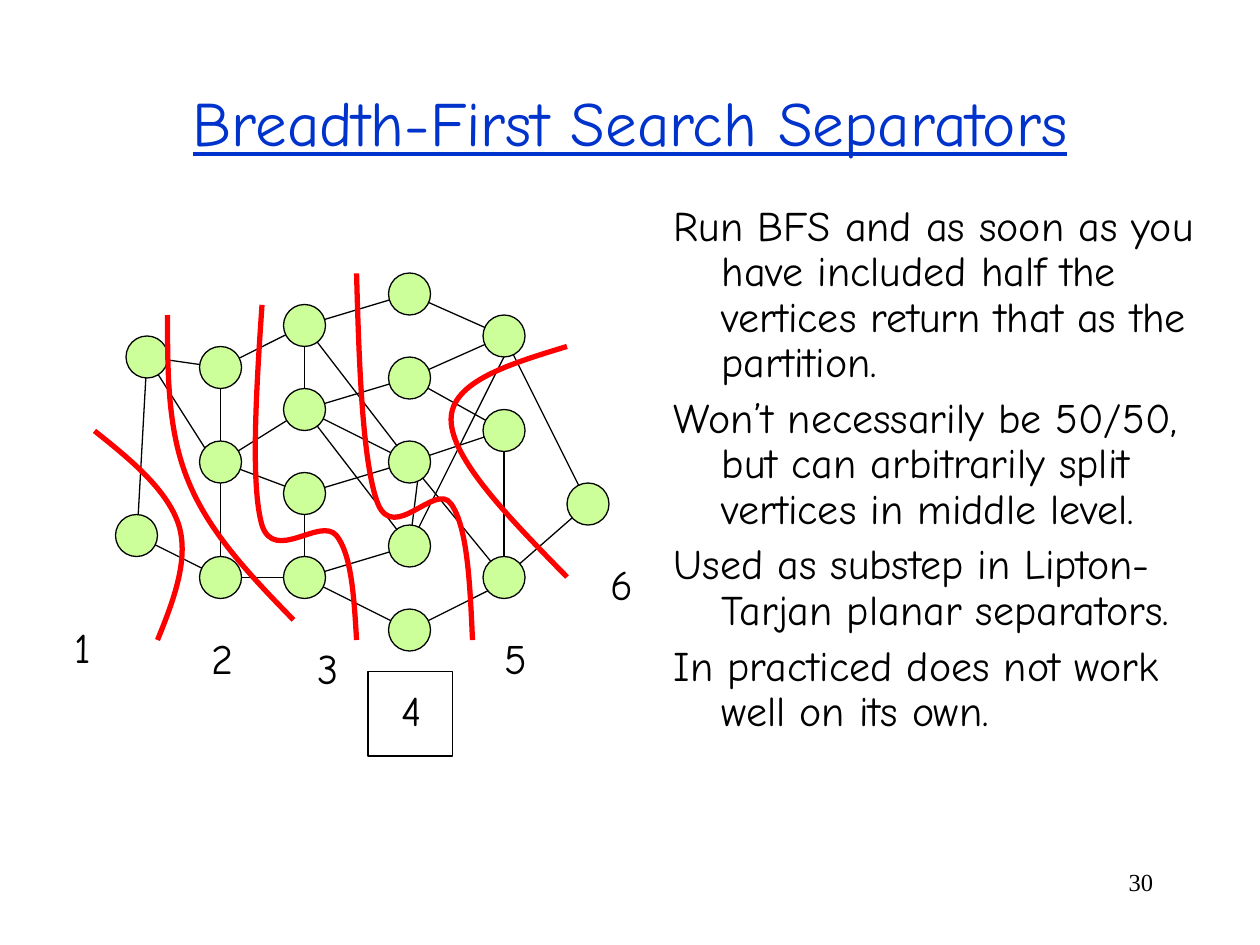
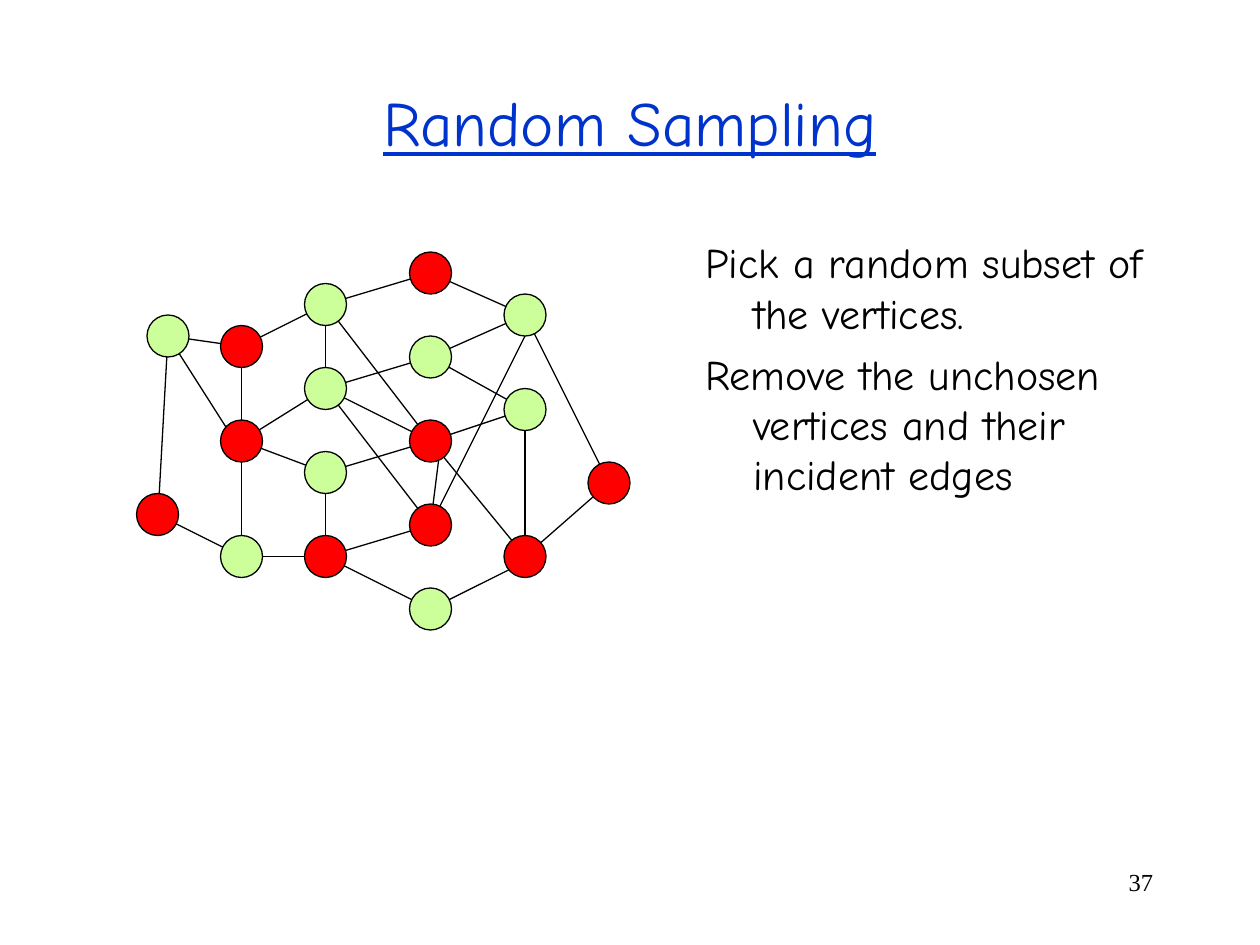
from dataclasses import dataclass
from typing import NamedTuple

from lxml.etree import SubElement
from pptx import Presentation
from pptx.dml.color import RGBColor
from pptx.enum.shapes import MSO_CONNECTOR, MSO_SHAPE
from pptx.enum.text import MSO_ANCHOR, MSO_AUTO_SIZE, PP_ALIGN
from pptx.oxml.ns import qn
from pptx.util import Inches, Length, Pt

# Shared style
BLACK = RGBColor(0x00, 0x00, 0x00)
TITLE_BLUE = RGBColor(0x00, 0x33, 0xCC)
VERTEX_GREEN = RGBColor(0xCC, 0xFF, 0x99)
RED = RGBColor(0xFF, 0x00, 0x00)
MAIN_FONT = "Comic Neue"
NUMBER_FONT = "Times New Roman"
THIN = Pt(0.75)
THICK = Pt(3)
HANGING = Inches(0.38)


class Point(NamedTuple):
    x: float
    y: float


class Box(NamedTuple):
    left: float
    top: float
    width: float
    height: float

    def lengths(self) -> list[Length]:
        return [Inches(value) for value in self]


class Edge(NamedTuple):
    start: str
    end: str
    start_nudge: Point = Point(0, 0)
    end_nudge: Point = Point(0, 0)


class Label(NamedTuple):
    text: str
    left: float
    top: float


@dataclass(frozen=True)
class TextStyle:
    size: int
    font: str = MAIN_FONT
    color: RGBColor = BLACK
    underline: bool = False


TITLE_STYLE = TextStyle(36, color=TITLE_BLUE, underline=True)
BODY_STYLE = TextStyle(24)
NUMBER_STYLE = TextStyle(14, NUMBER_FONT)

# The graph lies on a grid of twelfths of an inch: column x, then each row y
GRID = 12
VERTEX_SIZE = Inches(4 / GRID)
COLUMNS = {
    "B": (21, (35, 44, 55)),
    "C": (29, (31, 39, 47, 55)),
    "D": (39, (28, 36, 44, 52, 60)),
    "E": (48, (32, 41, 55)),
    "F": (56, (48,)),
}
VERTICES = {"A1": Point(14, 34), "A2": Point(13, 51)} | {
    f"{column}{number}": Point(x, y)
    for column, (x, rows) in COLUMNS.items()
    for number, y in enumerate(rows, start=1)
}
RIGHT = Point(1, 0)
DOWN = Point(0, 1)
EDGES = [
    Edge("B3", "C4"), Edge("C3", "B2"), Edge("B3", "A2"), Edge("B3", "B2"),
    Edge("C3", "C4"), Edge("B2", "C2"), Edge("C2", "C1"), Edge("C1", "B1"),
    Edge("B1", "B2", end_nudge=DOWN), Edge("B2", "A1", start_nudge=DOWN),
    Edge("A1", "A2", end_nudge=DOWN), Edge("A1", "B1"),
    Edge("D2", "E1"), Edge("D1", "E1"), Edge("E1", "D4", start_nudge=RIGHT),
    Edge("D3", "E2"), Edge("E2", "D2"), Edge("E1", "F1"), Edge("F1", "E3"),
    Edge("E3", "D3"), Edge("E3", "E2"), Edge("D5", "E3", end_nudge=RIGHT),
    Edge("D4", "D3", end_nudge=RIGHT),
    Edge("C1", "D1"), Edge("C1", "D3"), Edge("C2", "D2"), Edge("C2", "D4"),
    Edge("C2", "D3"), Edge("C4", "D4"), Edge("C4", "D5"), Edge("C3", "D3"),
]
SAMPLED = ["C4", "D3", "D1", "D4", "B1", "B2", "E3", "F1", "A2"]
UNSAMPLED = [name for name in VERTICES if name not in SAMPLED]
SAMPLING_OFFSET = Point(2, -2)

# Level boundaries: a start point, then three Bézier points per segment
LEVEL_CURVES = [
    [(0.75, 3.42), (1.04, 3.65), (1.33, 3.89), (1.42, 4.17),
     (1.5, 4.44), (1.38, 4.76), (1.25, 5.08)],
    [(1.33, 2.5), (1.33, 2.97), (1.33, 3.43), (1.5, 3.83),
     (1.67, 4.24), (2, 4.58), (2.33, 4.92)],
    [(2.83, 5.08), (2.81, 4.74), (2.79, 4.4), (2.67, 4.25),
     (2.54, 4.1), (2.18, 4.47), (2.08, 4.17),
     (1.99, 3.86), (2.03, 3.14), (2.08, 2.42)],
    [(3.75, 5.08), (3.73, 4.63), (3.71, 4.18), (3.58, 4),
     (3.46, 3.82), (3.13, 4.31), (3, 4),
     (2.88, 3.69), (2.85, 2.93), (2.83, 2.17)],
    [(4.5, 2.75), (4.04, 2.89), (3.58, 3.03), (3.58, 3.33),
     (3.58, 3.64), (4.04, 4.11), (4.5, 4.58)],
]
LEVEL_LABELS = [
    Label("1", 0.49, 4.88), Label("2", 1.58, 4.97), Label("3", 2.42, 5.05),
    Label("4", 3.09, 5.38), Label("5", 3.91, 4.97), Label("6", 4.75, 4.38),
]
MIDDLE_LEVEL_BOX = Box(2.92, 5.33, 0.67, 0.67)

SEPARATOR_NOTES = [
    "Run BFS and as soon as you have included half the vertices return that as the partition.",
    "Won’t necessarily be 50/50, but can arbitrarily split vertices in middle level.",
    "Used as substep in Lipton-Tarjan planar separators.",
    "In practiced does not work well on its own.",
]
SAMPLING_NOTES = [
    "Pick a random subset of the vertices.",
    "Remove the unchosen vertices and their incident edges",
]


def add_text(paragraph, text: str, style: TextStyle) -> None:
    run = paragraph.add_run()
    run.text = text
    run.font.size = Pt(style.size)
    run.font.name = style.font
    run.font.color.rgb = style.color
    run.font.underline = style.underline


def add_text_box(slide, box: Box, texts: list[str], style: TextStyle, wrap: bool = True):
    frame = slide.shapes.add_textbox(*box.lengths()).text_frame
    frame.word_wrap = wrap
    for index, text in enumerate(texts):
        paragraph = frame.add_paragraph() if index else frame.paragraphs[0]
        add_text(paragraph, text, style)
    return frame


def add_notes(slide, box: Box, notes: list[str], line_spacing: float) -> None:
    for paragraph in add_text_box(slide, box, notes, BODY_STYLE).paragraphs:
        paragraph.space_before = Pt(6)
        paragraph.line_spacing = line_spacing
        properties = paragraph._p.get_or_add_pPr()
        properties.set("marL", str(HANGING))
        properties.set("indent", str(-HANGING))


def add_titled_slide(presentation, title_text: str, number: str):
    slide = presentation.slides.add_slide(presentation.slide_layouts[5])
    title = slide.shapes.title
    title.left, title.top, title.width, title.height = Box(0.75, 0.5, 8.5, 0.92).lengths()
    frame = title.text_frame
    frame.auto_size = MSO_AUTO_SIZE.NONE
    frame.vertical_anchor = MSO_ANCHOR.MIDDLE
    frame.paragraphs[0].alignment = PP_ALIGN.CENTER
    add_text(frame.paragraphs[0], title_text, TITLE_STYLE)
    number_frame = add_text_box(slide, Box(7.17, 6.83, 2.08, 0.5), [number], NUMBER_STYLE)
    number_frame.paragraphs[0].alignment = PP_ALIGN.RIGHT
    return slide


def grid_position(*points: Point) -> Point:
    """Sum of grid points, as lengths."""
    return Point(Inches(sum(point.x for point in points) / GRID),
                 Inches(sum(point.y for point in points) / GRID))


def draw_edges(shapes, offset: Point = Point(0, 0)) -> None:
    for edge in EDGES:
        start = grid_position(VERTICES[edge.start], edge.start_nudge, offset)
        end = grid_position(VERTICES[edge.end], edge.end_nudge, offset)
        connector = shapes.add_connector(MSO_CONNECTOR.STRAIGHT, *start, *end)
        connector.line.color.rgb = BLACK
        connector.line.width = THIN
        SubElement(connector._element.spPr, qn("a:effectLst"))


def style_shape(shape, line_color: RGBColor, line_width: Length,
                fill: RGBColor | None = None) -> None:
    shape.shadow.inherit = False
    if fill is None:
        shape.fill.background()
    else:
        shape.fill.solid()
        shape.fill.fore_color.rgb = fill
    shape.line.color.rgb = line_color
    shape.line.width = line_width


def draw_vertices(shapes, names, fill: RGBColor, offset: Point = Point(0, 0)) -> None:
    for name in names:
        corner = grid_position(VERTICES[name], offset, Point(-2, -2))
        vertex = shapes.add_shape(MSO_SHAPE.OVAL, *corner, VERTEX_SIZE, VERTEX_SIZE)
        style_shape(vertex, BLACK, THIN, fill)


def draw_curve(slide, points: list[tuple[float, float]]) -> None:
    start, *others = [(Inches(x), Inches(y)) for x, y in points]
    builder = slide.shapes.build_freeform(*start)
    builder.add_line_segments(others, close=False)
    curve = builder.convert_to_shape()
    style_shape(curve, RED, THICK)
    # Merge each three straight segments into one Bézier segment
    outline = curve._element.find(".//" + qn("a:path"))
    segments = outline.findall(qn("a:lnTo"))
    for first in range(0, len(segments), 3):
        bezier = SubElement(outline, qn("a:cubicBezTo"))
        for segment in segments[first:first + 3]:
            bezier.append(segment[0])
            outline.remove(segment)


def build_separators(presentation) -> None:
    slide = add_titled_slide(presentation, "Breadth-First Search Separators", "30")
    draw_edges(slide.shapes)
    draw_vertices(slide.shapes, VERTICES, VERTEX_GREEN)
    for points in LEVEL_CURVES:
        draw_curve(slide, points)
    for label in LEVEL_LABELS:
        box = Box(label.left, label.top, 0.37, 0.5)
        frame = add_text_box(slide, box, [label.text], BODY_STYLE, wrap=False)
        frame.auto_size = MSO_AUTO_SIZE.SHAPE_TO_FIT_TEXT
    middle = slide.shapes.add_shape(MSO_SHAPE.RECTANGLE, *MIDDLE_LEVEL_BOX.lengths())
    style_shape(middle, BLACK, THIN)
    add_notes(slide, Box(5.25, 1.58, 4.33, 5.08), SEPARATOR_NOTES, 0.9)


def build_sampling(presentation) -> None:
    slide = add_titled_slide(presentation, "Random Sampling", "37")
    add_notes(slide, Box(5.5, 1.83, 3.75, 4.83), SAMPLING_NOTES, 1.0)
    graph = slide.shapes.add_group_shape()
    draw_edges(graph.shapes, SAMPLING_OFFSET)
    draw_vertices(graph.shapes, UNSAMPLED, VERTEX_GREEN, SAMPLING_OFFSET)
    sample = slide.shapes.add_group_shape()
    draw_vertices(sample.shapes, SAMPLED, RED, SAMPLING_OFFSET)


def main() -> None:
    presentation = Presentation()
    presentation.slide_width = Inches(10)
    presentation.slide_height = Inches(7.5)
    build_separators(presentation)
    build_sampling(presentation)
    presentation.save("out.pptx")


if __name__ == "__main__":
    main()
